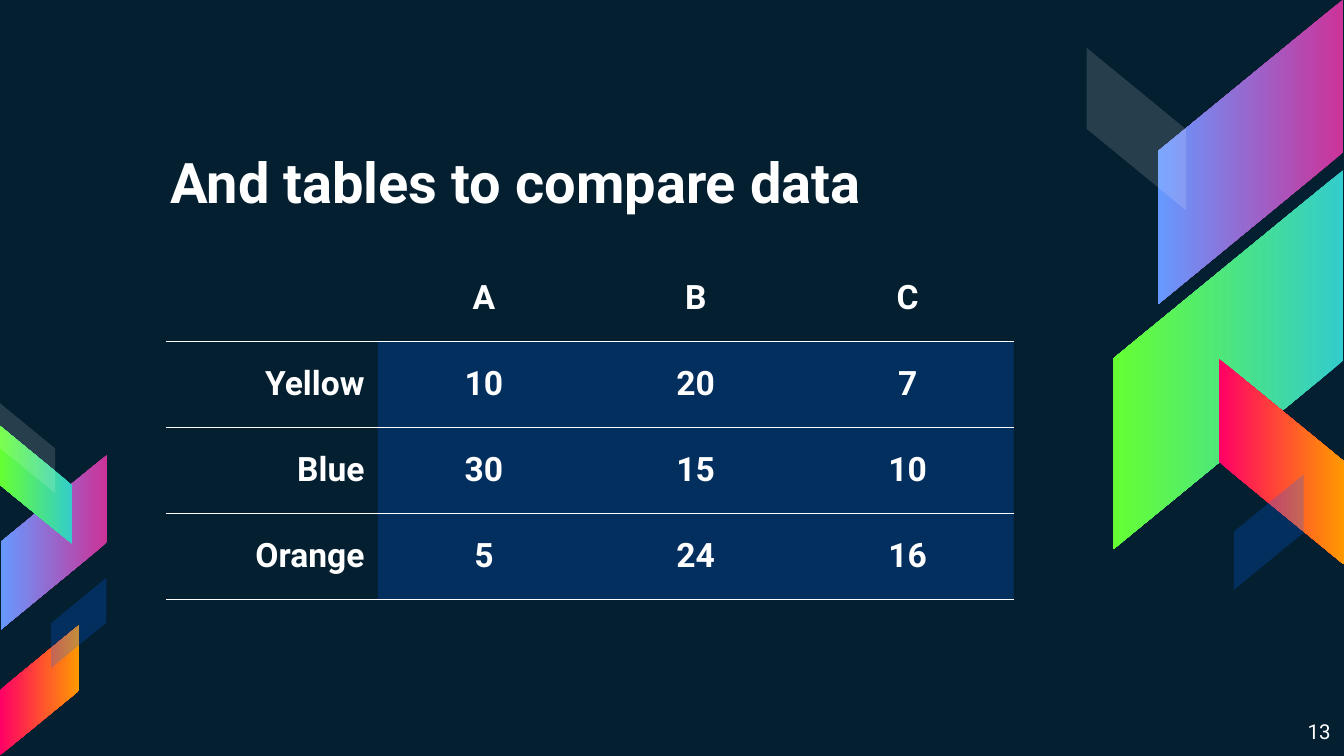
from lxml import etree
from pptx import Presentation
from pptx.dml.color import RGBColor
from pptx.enum.shapes import MSO_SHAPE
from pptx.enum.text import MSO_ANCHOR, PP_ALIGN
from pptx.oxml.ns import qn
from pptx.util import Inches, Pt

# Square grid: 100 columns across the slide, 56.25 rows down
COLUMNS, ROWS = 100, 56.25
UNIT = Inches(10) / COLUMNS

NIGHT = RGBColor(0x04, 0x1F, 0x30)
WHITE = RGBColor(0xFF, 0xFF, 0xFF)
BLUE = RGBColor(0x00, 0x66, 0xFF)
VIOLET = (RGBColor(0xCC, 0x33, 0x99), RGBColor(0x66, 0x99, 0xFF))
GREEN = (RGBColor(0x33, 0xCC, 0xCC), RGBColor(0x66, 0xFF, 0x33))
FIRE = (RGBColor(0xFF, 0x00, 0x66), RGBColor(0xFF, 0x99, 0x00))
FONT = "Roboto"
BLUE_TINT, WHITE_TINT = 23, 14  # opacity in percent

# Ribbons, back to front: left, top, width, height, rotation, mirrored, paint
RIBBONS = [
    # Right-hand cluster
    (81.7, 4.4, 22.7, 13.8, 90, True, VIOLET),
    (77.3, 18.2, 28.2, 17.1, 90, True, GREEN),
    (87.7, 29.7, 15.3, 9.3, 270, False, FIRE),
    (78.5, 5.9, 12.1, 7.4, 270, False, (WHITE, WHITE_TINT)),
    (90.1, 37, 8.6, 5.2, 270, True, (BLUE, BLUE_TINT)),
    # Left-hand cluster
    (-2.5, 36.4, 13, 7.9, 90, True, VIOLET),
    (-1.7, 33.4, 8.8, 5.4, 90, False, GREEN),
    (-1.9, 48.4, 9.7, 5.9, 270, True, FIRE),
    (-1.3, 31.3, 6.7, 4.1, 270, False, (WHITE, WHITE_TINT)),
    (2.5, 44.3, 6.7, 4.1, 270, True, (BLUE, BLUE_TINT)),
]

DATA = [
    ["", "A", "B", "C"],
    ["Yellow", "10", "20", "7"],
    ["Blue", "30", "15", "10"],
    ["Orange", "5", "24", "16"],
]


def grid(*lengths):
    return [round(length * UNIT) for length in lengths]


def tint(fill, color, opacity):
    fill.solid()
    fill.fore_color.rgb = color
    color_xml = fill._xPr.find(qn("a:solidFill"))[0]
    etree.SubElement(color_xml, qn("a:alpha"), val=str(opacity * 1000))


def write(frame, text, size, bold=False, align=PP_ALIGN.LEFT):
    paragraph = frame.paragraphs[0]
    paragraph.alignment = align
    run = paragraph.add_run()
    run.text = text
    run.font.name, run.font.size, run.font.bold = FONT, Pt(size), bold
    run.font.color.rgb = WHITE


def add_ribbon(slide, left, top, width, height, rotation, mirrored, paint):
    ribbon = slide.shapes.add_shape(
        MSO_SHAPE.PARALLELOGRAM, *grid(left, top, width, height))
    ribbon.adjustments[0] = 0.82
    ribbon.rotation = rotation
    ribbon.shadow.inherit = False
    ribbon.line.fill.background()
    if mirrored:
        ribbon._element.spPr.find(qn("a:xfrm")).set("flipH", "1")
    if isinstance(paint[1], RGBColor):
        ribbon.fill.gradient()
        ribbon.fill.gradient_angle = 270
        for stop, color in zip(ribbon.fill.gradient_stops, paint):
            stop.color.rgb = color
    else:
        tint(ribbon.fill, *paint)


def add_text(slide, box, text, size, anchor=MSO_ANCHOR.TOP, **style):
    frame = slide.shapes.add_textbox(*grid(*box)).text_frame
    frame.word_wrap = True
    frame.vertical_anchor = anchor
    frame.margin_left = frame.margin_right = Inches(0.1)
    frame.margin_top = frame.margin_bottom = Inches(0.1)
    write(frame, text, size, **style)


def set_borders(cell, ruled_sides):
    properties = cell._tc.get_or_add_tcPr()
    for side in "LRTB":
        line = etree.SubElement(properties, qn(f"a:ln{side}"), w=str(Pt(0.75)))
        if side in ruled_sides:
            solid = etree.SubElement(line, qn("a:solidFill"))
            etree.SubElement(solid, qn("a:srgbClr"), val=str(WHITE))
        else:
            etree.SubElement(line, qn("a:noFill"))


def add_data_table(slide, left, top, column_width, row_height):
    rows, columns = len(DATA), len(DATA[0])
    table = slide.shapes.add_table(rows, columns, *grid(
        left, top, columns * column_width, rows * row_height)).table
    table.first_row = table.horz_banding = False
    for r, values in enumerate(DATA):
        for c, value in enumerate(values):
            cell = table.cell(r, c)
            cell.vertical_anchor = MSO_ANCHOR.MIDDLE
            cell.margin_left = cell.margin_right = Inches(0.1)
            cell.margin_top = cell.margin_bottom = Inches(0.07)
            set_borders(cell, "TB" if r else "B")
            if r and c:
                tint(cell.fill, BLUE, BLUE_TINT)
            else:
                cell.fill.background()
            if value:
                write(cell.text_frame, value, 18, bold=True,
                      align=PP_ALIGN.CENTER if c else PP_ALIGN.RIGHT)


def main():
    prs = Presentation()
    prs.slide_width, prs.slide_height = grid(COLUMNS, ROWS)
    slide = prs.slides.add_slide(prs.slide_layouts[6])
    slide.background.fill.solid()
    slide.background.fill.fore_color.rgb = NIGHT

    # Decoration
    for ribbon in RIBBONS:
        add_ribbon(slide, *ribbon)

    # Title, table and page number
    add_text(slide, (11.7, 10, 65.3, 7), "And tables to compare data", 30,
             anchor=MSO_ANCHOR.BOTTOM, bold=True)
    add_data_table(slide, 12.35, 19, 15.77, 6.4)
    add_text(slide, (93.6, 52.6, 6.4, 3.6), "13", 11, align=PP_ALIGN.RIGHT)

    prs.save("out.pptx")


main()
